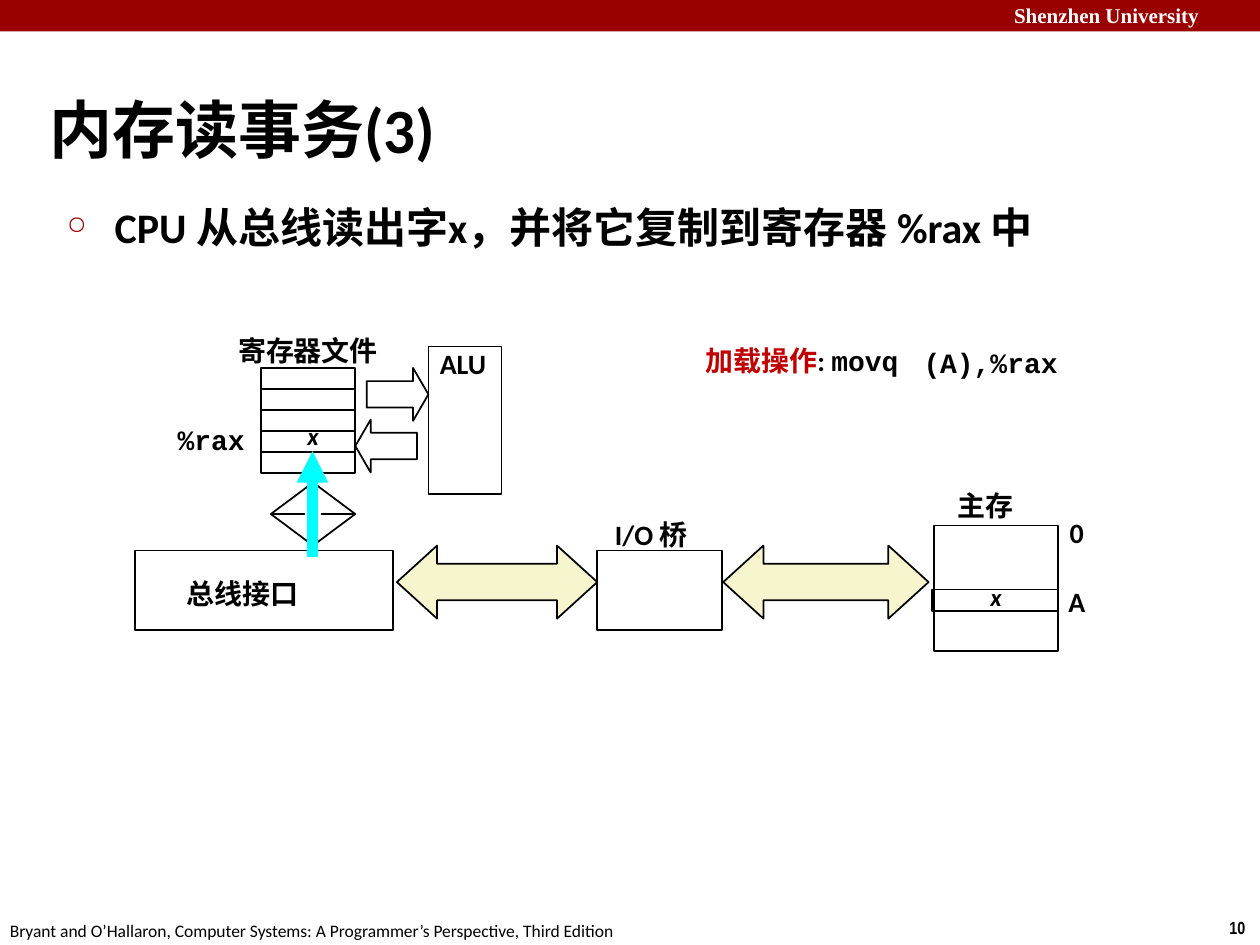
from lxml import etree
from pptx import Presentation
from pptx.dml.color import RGBColor
from pptx.enum.shapes import MSO_CONNECTOR, MSO_SHAPE
from pptx.enum.text import MSO_ANCHOR
from pptx.oxml.ns import qn
from pptx.util import Inches, Pt

RECT = MSO_SHAPE.RECTANGLE
BOTH = MSO_SHAPE.LEFT_RIGHT_ARROW
RISE = MSO_SHAPE.UP_DOWN_ARROW
RIGHT = MSO_SHAPE.RIGHT_ARROW
LEFT = MSO_SHAPE.LEFT_ARROW
PEAK = MSO_SHAPE.ISOSCELES_TRIANGLE
LINE = MSO_CONNECTOR.STRAIGHT
MIDDLE = MSO_ANCHOR.MIDDLE
TOP = MSO_ANCHOR.TOP

BLACK = RGBColor(0, 0, 0)
WHITE = RGBColor(255, 255, 255)
MAROON = RGBColor(0x99, 0, 0)
RED = RGBColor(0xC0, 0, 0)
CREAM = RGBColor(0xF7, 0xF5, 0xCD)
CYAN = RGBColor(0, 255, 255)

SANS, MONO = "Calibri", "Courier New"
COLS, ROWS = 100, 75
REG_LEFT, REG_TOP, REG_WIDE, REG_HIGH = 20.7, 29.2, 7.5, 1.67
BUS_TOP, BUS_HIGH = 43.3, 5.8
BOX_TOP, BOX_HIGH = 43.7, 6.3


def cell(count):
    """Return the length of a number of grid cells, each a tenth of an inch."""
    return Inches(count / 10)


def form(slide, kind, area, fill=None, edge=BLACK, bends=()):
    """Draw a preset shape over an area of the grid."""
    shape = slide.shapes.add_shape(kind, *map(cell, area))
    shape.shadow.inherit = False
    for pos, bend in enumerate(bends):
        shape.adjustments[pos] = bend
    if fill is None:
        shape.fill.background()
    else:
        shape.fill.solid()
        shape.fill.fore_color.rgb = fill
    if edge is None:
        shape.line.fill.background()
    else:
        shape.line.color.rgb = edge
        shape.line.width = Pt(1)
    return shape


def label(slide, text, area, size=16, face=SANS, color=BLACK, bold=True,
          slant=False, inset=(0, 0), wrap=True, anchor=TOP):
    """Write one line of text and return its paragraph."""
    frame = slide.shapes.add_textbox(*map(cell, area)).text_frame
    frame.word_wrap = wrap
    frame.vertical_anchor = anchor
    frame.margin_left = frame.margin_right = cell(inset[0])
    frame.margin_top = frame.margin_bottom = cell(inset[1])
    para = frame.paragraphs[0]
    para.text = text
    font = para.font
    font.name, font.size = face, Pt(size)
    font.bold, font.italic = bold, slant
    font.color.rgb = color
    return para


def bullet(para):
    """Give a paragraph a small maroon ring as its bullet."""
    props = para._p.get_or_add_pPr()
    props.set("marL", str(cell(3.9)))
    props.set("indent", str(-cell(3.8)))
    marks = []
    tint = etree.Element(qn("a:buClr"))
    etree.SubElement(tint, qn("a:srgbClr"), val=str(MAROON))
    marks.append(tint)
    marks.append(etree.Element(qn("a:buSzPct"), val="60000"))
    marks.append(etree.Element(qn("a:buChar"), char="○"))
    for pos, mark in enumerate(marks):
        props.insert(pos, mark)


def flow(slide, left, base, top):
    """Draw the thick cyan arrow that carries the word upwards."""
    head = 2.5
    stem = slide.shapes.add_connector(
        LINE, cell(left), cell(base), cell(left), cell(top + head - 0.4))
    stem.line.color.rgb = CYAN
    stem.line.width = Pt(6)
    etree.SubElement(stem._element.spPr, qn("a:effectLst"))
    form(slide, PEAK, (left - head / 2, top, head, head), CYAN, None)


def frame(slide):
    """Draw the banner, footer, title and lead sentence."""
    pad = (1, 0.5)
    form(slide, RECT, (0, 0, COLS, 2.5), MAROON, None)
    label(slide, "Shenzhen University", (79.5, -0.3, 21.2, 3), 12,
          "Times New Roman", WHITE, inset=pad)
    label(slide, "10", (96.6, 72.3, 3.4, 2.7), 10, "Arial Narrow",
          inset=pad, wrap=False)
    label(slide, "Bryant and O’Hallaron, Computer Systems: "
          "A Programmer’s Perspective, Third Edition",
          (-0.2, 72.5, 50.9, 2.7), 10, bold=False, inset=pad, wrap=False)
    label(slide, "内存读事务(3)", (3.9, 5.9, 83, 8.5), 36, anchor=MIDDLE)
    bullet(label(slide, "CPU 从总线读出字x，并将它复制到寄存器 %rax 中",
                 (5.2, 16, 81.5, 4), 24))


def chip(slide):
    """Draw the processor: registers, arithmetic unit and bus port."""
    for row in range(5):
        form(slide, RECT, (REG_LEFT, REG_TOP + row * REG_HIGH,
                           REG_WIDE, REG_HIGH))
    form(slide, RIGHT, (29.1, 29.2, 4.9, 4.2), bends=(0.5, 0.29))
    form(slide, LEFT, (28.2, 33.3, 4.9, 4.2), bends=(0.5, 0.29))
    form(slide, RECT, (34, 27.5, 5.8, 11.7))
    form(slide, RISE, (21.5, 38.3, 6.7, 5), bends=(0.5, 0.2))
    form(slide, RECT, (10.7, BOX_TOP, 20.5, BOX_HIGH))
    flow(slide, 24.8, 44.2, 35.8)
    label(slide, "ALU", (34.9, 27.5, 4.9, 2.7))
    label(slide, "%rax", (14.1, 33.5, 6, 2.5), face=MONO)
    label(slide, "寄存器文件", (18.9, 26.5, 12.2, 2.7))
    label(slide, "总线接口", (14.8, 45.8, 12.3, 2.7))


def store(slide):
    """Draw the buses, the bridge and the main memory."""
    for left, wide in ((31.5, 15.9), (57.4, 16.3)):
        form(slide, BOTH, (left, BUS_TOP, wide, BUS_HIGH), CREAM,
             bends=(0.5, 0.55))
    form(slide, RECT, (47.4, BOX_TOP, 9.9, BOX_HIGH))
    form(slide, RECT, (74.1, 41.7, 9.9, 10))
    form(slide, RECT, (74, 46.8, 10, 1.7))
    label(slide, "I/O 桥", (48.8, 41.1, 7.2, 2.7))
    label(slide, "主存", (76, 38.8, 6.1, 2.7))
    label(slide, "0", (84.9, 40.9, 1.4, 2.5))
    label(slide, "A", (84.8, 46.4, 1.6, 2.5))
    for left, top in ((24.4, 33.4), (78.6, 46.2)):
        label(slide, "x", (left, top, 1.2, 2.2), 14, slant=True)


def order(slide):
    """Write the load instruction with its name in red."""
    para = label(slide, "加载操作", (56, 27.3, 20.7, 2.7))
    para.runs[0].font.color.rgb = RED
    para.add_run().text = ": "
    code = para.add_run()
    code.text = "movq"
    code.font.name = MONO
    label(slide, "(A),%rax", (73.3, 27.4, 13.7, 2.7), face=MONO)


def main():
    """Build the slide and save it."""
    deck = Presentation()
    deck.slide_width, deck.slide_height = cell(COLS), cell(ROWS)
    slide = deck.slides.add_slide(deck.slide_layouts[6])
    for draw in (frame, chip, store, order):
        draw(slide)
    deck.save("out.pptx")


if __name__ == "__main__":
    main()
